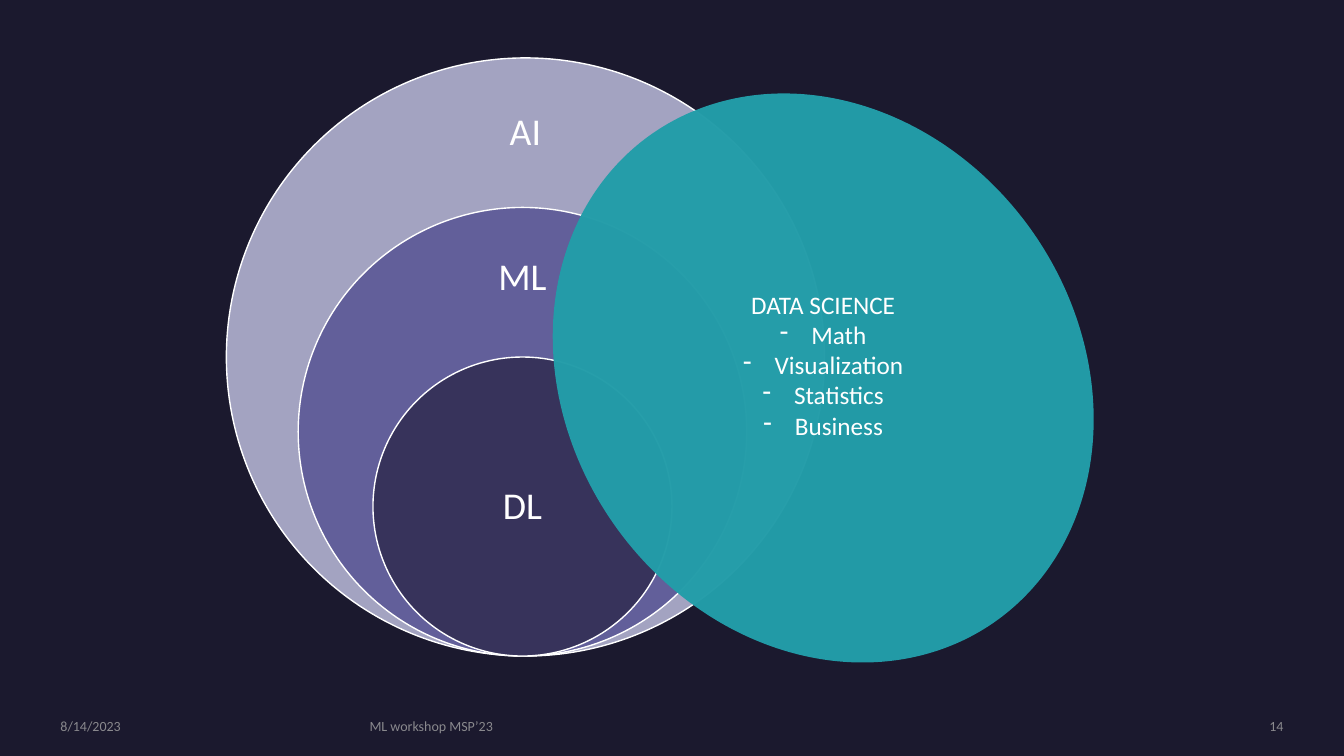
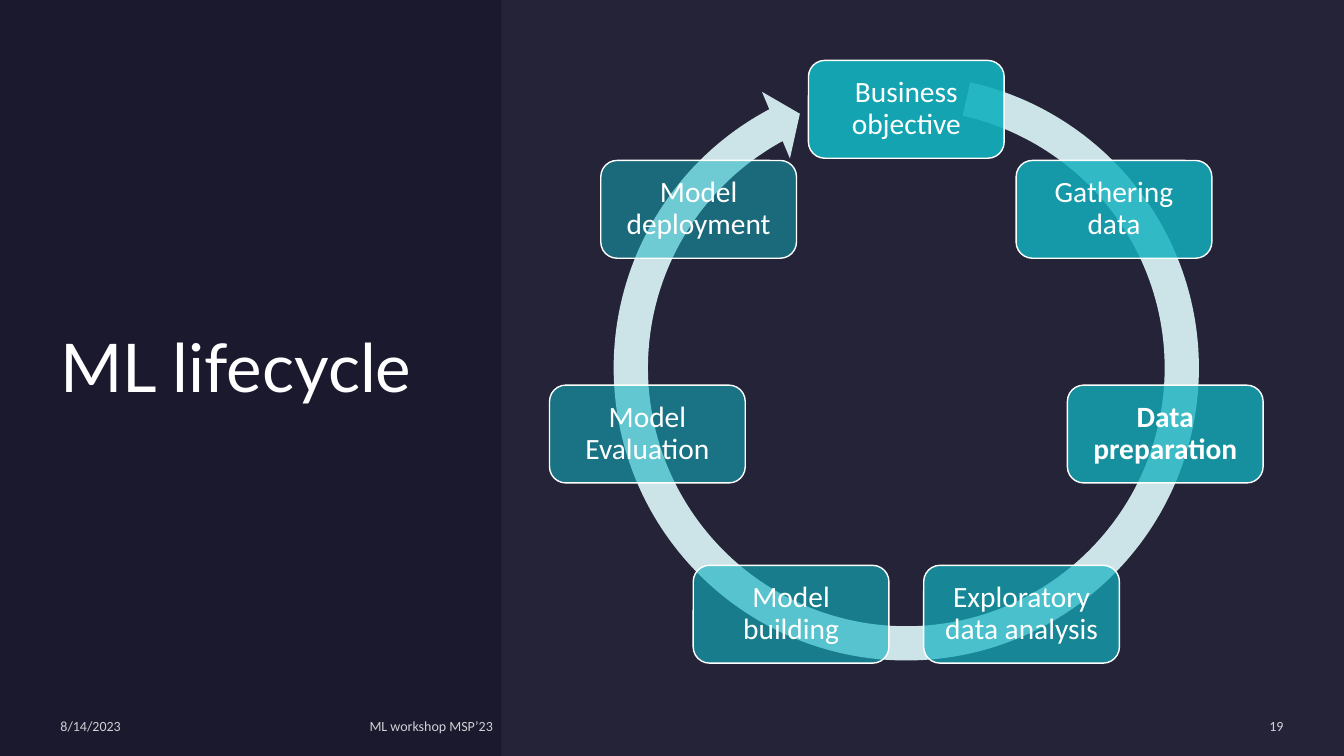
from dataclasses import dataclass
from math import cos, pi, sin

from lxml import etree
from pptx import Presentation
from pptx.dml.color import RGBColor
from pptx.enum.shapes import MSO_SHAPE
from pptx.enum.text import MSO_ANCHOR, MSO_AUTO_SIZE, PP_ALIGN
from pptx.oxml.ns import qn
from pptx.util import Inches, Pt

ELLIPSE, RECT = MSO_SHAPE.OVAL, MSO_SHAPE.RECTANGLE
ROUNDED, CYCLE_ARROW = MSO_SHAPE.ROUNDED_RECTANGLE, MSO_SHAPE.CIRCULAR_ARROW
LEFT, CENTER, RIGHT = PP_ALIGN.LEFT, PP_ALIGN.CENTER, PP_ALIGN.RIGHT
MIDDLE = MSO_ANCHOR.MIDDLE
NO_AUTOFIT = MSO_AUTO_SIZE.NONE
TITLE_ONLY, BLANK = 5, 6

COLUMNS, ROWS = 160, 90
CELLS_PER_INCH = 12
MARGIN = 7.2


@dataclass(frozen=True)
class Theme:
    background: str = "1B192E"
    panel: str = "E4E3F0"
    white: str = "FFFFFF"
    muted: str = "A6A6A6"
    ai: str = "A3A3C1"
    ml: str = "625F9A"
    dl: str = "37335B"
    data_science: str = "239DA9"
    stage: str = "12B1BF"
    cycle: str = "CCE4E8"
    title_font: str = "Lato"
    body_font: str = "Calibri"
    title_size: int = 48
    circle_size: int = 27
    stage_size: int = 21
    list_size: int = 18
    footer_size: int = 10


THEME = Theme()


def cells(count):
    return Inches(count / CELLS_PER_INCH)


def paint(fill, properties, color, alpha=100):
    """Set a solid fill; properties is the XML element that contains it."""
    fill.solid()
    fill.fore_color.rgb = RGBColor.from_string(color)
    if alpha < 100:
        color_node = properties.find(qn("a:solidFill"))[0]
        opacity = etree.SubElement(color_node, qn("a:alpha"))
        opacity.set("val", str(round(alpha * 1000)))


def add_dash(paragraph, indent):
    properties = paragraph._p.get_or_add_pPr()
    properties.set("marL", str(cells(indent)))
    properties.set("indent", str(-cells(indent)))
    etree.SubElement(properties, qn("a:buChar")).set("char", "-")


def write(frame, *lines, size, color=THEME.white, alpha=100, font=THEME.body_font,
          bold=False, align=LEFT, spacing=None, inset=0, dash_from=None):
    """Fill a text frame, with dashes from the line numbered dash_from on."""
    frame.word_wrap = True
    frame.auto_size = NO_AUTOFIT
    frame.vertical_anchor = MIDDLE
    frame.margin_left = frame.margin_right = cells(inset)
    frame.margin_top = frame.margin_bottom = cells(inset)
    for number, line in enumerate(lines):
        paragraph = frame.add_paragraph() if number else frame.paragraphs[0]
        paragraph.alignment = align
        if spacing:
            paragraph.line_spacing = spacing
        if dash_from is not None and number >= dash_from:
            add_dash(paragraph, 3.75)
        run = paragraph.add_run()
        run.text = line
        run.font.name, run.font.size, run.font.bold = font, Pt(size), bold
        paint(run.font.fill, run._r.get_or_add_rPr(), color, alpha)


class Deck:
    def __init__(self, theme):
        self.theme = theme
        self.presentation = Presentation()
        self.presentation.slide_width = cells(COLUMNS)
        self.presentation.slide_height = cells(ROWS)
        backdrop = self.presentation.slide_master.background.fill
        backdrop.solid()
        backdrop.fore_color.rgb = RGBColor.from_string(theme.background)
        self.slide = None

    def new_slide(self, layout):
        layouts = self.presentation.slide_layouts
        self.slide = self.presentation.slides.add_slide(layouts[layout])

    def title(self, wording, left, top, width, height):
        heading = self.slide.shapes.title
        heading.left, heading.top = cells(left), cells(top)
        heading.width, heading.height = cells(width), cells(height)
        write(heading.text_frame, wording, size=self.theme.title_size,
              font=self.theme.title_font)

    def text(self, left, top, width, height, *lines, **style):
        box = self.slide.shapes.add_textbox(
            cells(left), cells(top), cells(width), cells(height))
        write(box.text_frame, *lines, **style)

    def centered_text(self, x, y, width, height, *lines, **style):
        self.text(x - width / 2, y - height / 2, width, height, *lines,
                  align=CENTER, **style)

    def shape(self, kind, x, y, width, height, color, alpha=100, outlined=False):
        """Add a preset shape centred on column x and row y."""
        figure = self.slide.shapes.add_shape(
            kind, cells(x - width / 2), cells(y - height / 2),
            cells(width), cells(height))
        figure.shadow.inherit = False
        paint(figure.fill, figure._element.spPr, color, alpha)
        if outlined:
            figure.line.color.rgb = RGBColor.from_string(self.theme.white)
            figure.line.width = Pt(1)
        else:
            figure.line.fill.background()
        return figure

    def footer(self, number, color):
        number_width = 22.2
        for left, width, wording, align in (
            (MARGIN, 34.6, "8/14/2023", LEFT),
            (44, 83.8, "ML workshop MSP’23", LEFT),
            (COLUMNS - MARGIN - number_width, number_width, str(number), RIGHT),
        ):
            self.text(left, 85.4, width, 2, wording, align=align, color=color,
                      alpha=80, size=self.theme.footer_size)


def build_fields(deck):
    theme = deck.theme
    deck.new_slide(BLANK)
    deck.footer(14, theme.muted)

    bottom, step = 78.1, 17.8
    for label, steps, x, label_y, color in (
        ("AI", 4, 62.55, 15.9, theme.ai),
        ("ML", 3, 62.2, 33.1, theme.ml),
        ("DL", 2, 62.2, 60.4, theme.dl),
    ):
        diameter = steps * step
        deck.shape(ELLIPSE, x, bottom - diameter / 2, diameter, diameter,
                   color, outlined=True)
        deck.centered_text(x, label_y, 24, 6, label, size=theme.circle_size,
                           spacing=0.9)

    center_x = 98
    overlap = deck.shape(ELLIPSE, center_x, 45, 71, 60.8, theme.data_science, 98)
    overlap.rotation = 54.6
    deck.centered_text(center_x, 43.4, 48, 20, "DATA SCIENCE", "Math",
                       "Visualization", "Statistics", "Business",
                       size=theme.list_size, dash_from=1)


def build_lifecycle(deck):
    theme = deck.theme
    deck.new_slide(TITLE_ONLY)
    deck.title("ML lifecycle", MARGIN, MARGIN, 46.8, 72.7)
    panel_left = 59.7
    deck.shape(RECT, (panel_left + COLUMNS) / 2, ROWS / 2, COLUMNS - panel_left,
               ROWS, theme.panel, 5)
    deck.footer(19, theme.white)

    center_x, center_y, radius = 107.9, 44.64, 31.62
    arrow = deck.shape(CYCLE_ARROW, center_x, 43.8, 74.2, 74.2, theme.cycle)
    # Thickness, head angle, end angle, start angle, head width
    for index, value in enumerate((0.055, 3.307, 145.058, 169.56, 0.058)):
        arrow.adjustments[index] = value

    stages = ("Business objective", "Gathering data", "Data preparation",
              "Exploratory data analysis", "Model building",
              "Model Evaluation", "Model deployment")
    first_alpha, last_alpha = 90, 50
    fade = (first_alpha - last_alpha) / (len(stages) - 1)
    for index, stage in enumerate(stages):
        angle = 2 * pi * index / len(stages)
        box = deck.shape(ROUNDED, center_x + radius * sin(angle),
                         center_y - radius * cos(angle), 23.3, 11.64,
                         theme.stage, first_alpha - fade * index, outlined=True)
        write(box.text_frame, stage, size=theme.stage_size, align=CENTER,
              spacing=0.9, inset=1.08, bold=stage == "Data preparation")


def main():
    deck = Deck(THEME)
    build_fields(deck)
    build_lifecycle(deck)
    deck.presentation.save("out.pptx")


if __name__ == "__main__":
    main()
